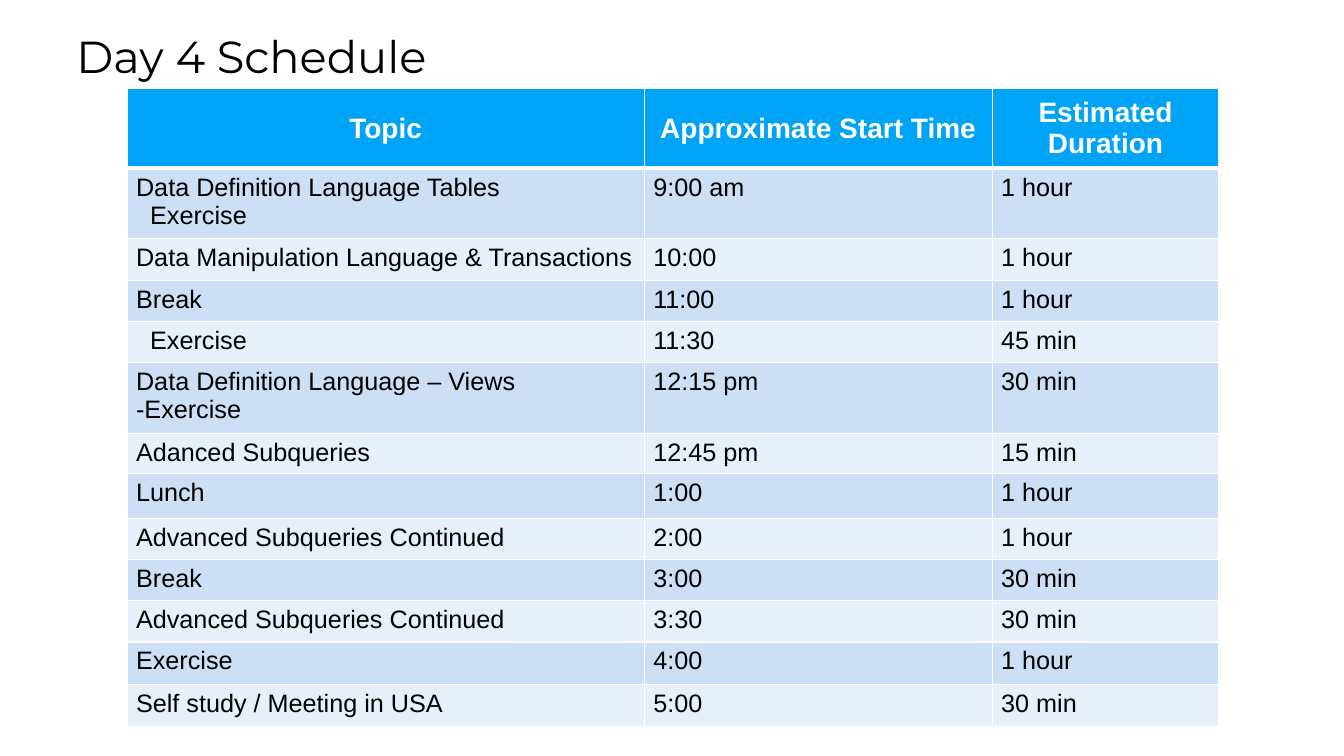
from lxml import etree
from pptx import Presentation
from pptx.dml.color import RGBColor
from pptx.enum.text import MSO_ANCHOR, PP_ALIGN
from pptx.oxml.ns import qn
from pptx.util import Inches, Pt

MIDDLE, TOP = MSO_ANCHOR.MIDDLE, MSO_ANCHOR.TOP
LEFT, CENTER = PP_ALIGN.LEFT, PP_ALIGN.CENTER

COLORS = {"text": "000000", "white": "FFFFFF", "header": "00A4F6",
          "odd_row": "CCDFF4", "even_row": "E7F0FA"}

HEADINGS = ("Topic", "Approximate Start Time", "Estimated Duration")
# A topic line that starts with a tab is indented
SESSIONS = [
    ("Data Definition Language Tables\n\tExercise", "9:00 am", "1 hour"),
    ("Data Manipulation Language & Transactions", "10:00", "1 hour"),
    ("Break", "11:00", "1 hour"),
    ("\tExercise", "11:30", "45 min"),
    ("Data Definition Language – Views\n-Exercise", "12:15 pm", "30 min"),
    ("Adanced Subqueries", "12:45 pm", "15 min"),
    ("Lunch", "1:00", "1 hour"),
    ("Advanced Subqueries Continued", "2:00", "1 hour"),
    ("Break", "3:00", "30 min"),
    ("Advanced Subqueries Continued", "3:30", "30 min"),
    ("Exercise", "4:00", "1 hour"),
    ("Self study / Meeting in USA", "5:00", "30 min"),
]
COLUMN_WIDTHS = (5.13, 3.45, 2.25)
# Two-line sessions need room for a second line
ROW_HEIGHTS = (0.79, 0.67, 0.41, 0.41, 0.41, 0.67, 0.38,
               0.44, 0.41, 0.41, 0.41, 0.42, 0.42)
TOPIC_INDENT = Inches(0.14)


def write_text(frame, text, size=18, font="Arial", color="text", bold=False,
               align=LEFT):
    for index, line in enumerate(text.split("\n")):
        paragraph = frame.paragraphs[0] if index == 0 else frame.add_paragraph()
        paragraph.alignment = align
        if line.startswith("\t"):
            paragraph._p.get_or_add_pPr().set("marL", str(TOPIC_INDENT))
        run = paragraph.add_run()
        run.text = line.strip()
        run.font.size = Pt(size)
        run.font.name = font
        run.font.bold = bold
        run.font.color.rgb = RGBColor.from_string(COLORS[color])


def add_title(slide, text):
    title = slide.shapes.add_textbox(Inches(0.66), Inches(0.23),
                                     Inches(12.03), Inches(0.64))
    title.text_frame.word_wrap = True
    title.text_frame.vertical_anchor = MIDDLE
    write_text(title.text_frame, text, size=32, font="Montserrat")


def set_borders(cell, top=1, bottom=1):
    properties = cell._tc.get_or_add_tcPr()
    sides = (("a:lnL", 1), ("a:lnR", 1), ("a:lnT", top), ("a:lnB", bottom))
    for index, (tag, width) in enumerate(sides):
        line = etree.Element(qn(tag), w=str(Pt(width)))
        fill = etree.SubElement(line, qn("a:solidFill"))
        etree.SubElement(fill, qn("a:srgbClr"), val=COLORS["white"])
        properties.insert(index, line)


def fill_cell(cell, text, fill, anchor=TOP, top=1, bottom=1, **text_format):
    cell.fill.solid()
    cell.fill.fore_color.rgb = RGBColor.from_string(COLORS[fill])
    cell.margin_left = cell.margin_right = Inches(0.09)
    cell.margin_top = cell.margin_bottom = Inches(0.05)
    cell.vertical_anchor = anchor
    write_text(cell.text_frame, text, **text_format)
    set_borders(cell, top, bottom)


def add_schedule(slide):
    schedule = slide.shapes.add_table(
        len(ROW_HEIGHTS), len(COLUMN_WIDTHS), Inches(1.26), Inches(0.88),
        Inches(sum(COLUMN_WIDTHS)), Inches(sum(ROW_HEIGHTS))).table
    for column, width in zip(schedule.columns, COLUMN_WIDTHS):
        column.width = Inches(width)
    for row, height in zip(schedule.rows, ROW_HEIGHTS):
        row.height = Inches(height)

    # Header row
    for cell, heading in zip(schedule.rows[0].cells, HEADINGS):
        fill_cell(cell, heading, "header", anchor=MIDDLE, bottom=3,
                  size=20, color="white", bold=True, align=CENTER)

    # Session rows in alternating colours
    for number, session in enumerate(SESSIONS, start=1):
        fill = "odd_row" if number % 2 else "even_row"
        for cell, text in zip(schedule.rows[number].cells, session):
            fill_cell(cell, text, fill, top=3 if number == 1 else 1)


def main():
    deck = Presentation()
    deck.slide_width, deck.slide_height = Inches(13.33), Inches(7.5)
    slide = deck.slides.add_slide(deck.slide_layouts[6])
    add_title(slide, "Day 4 Schedule")
    add_schedule(slide)
    deck.save("out.pptx")


if __name__ == "__main__":
    main()
